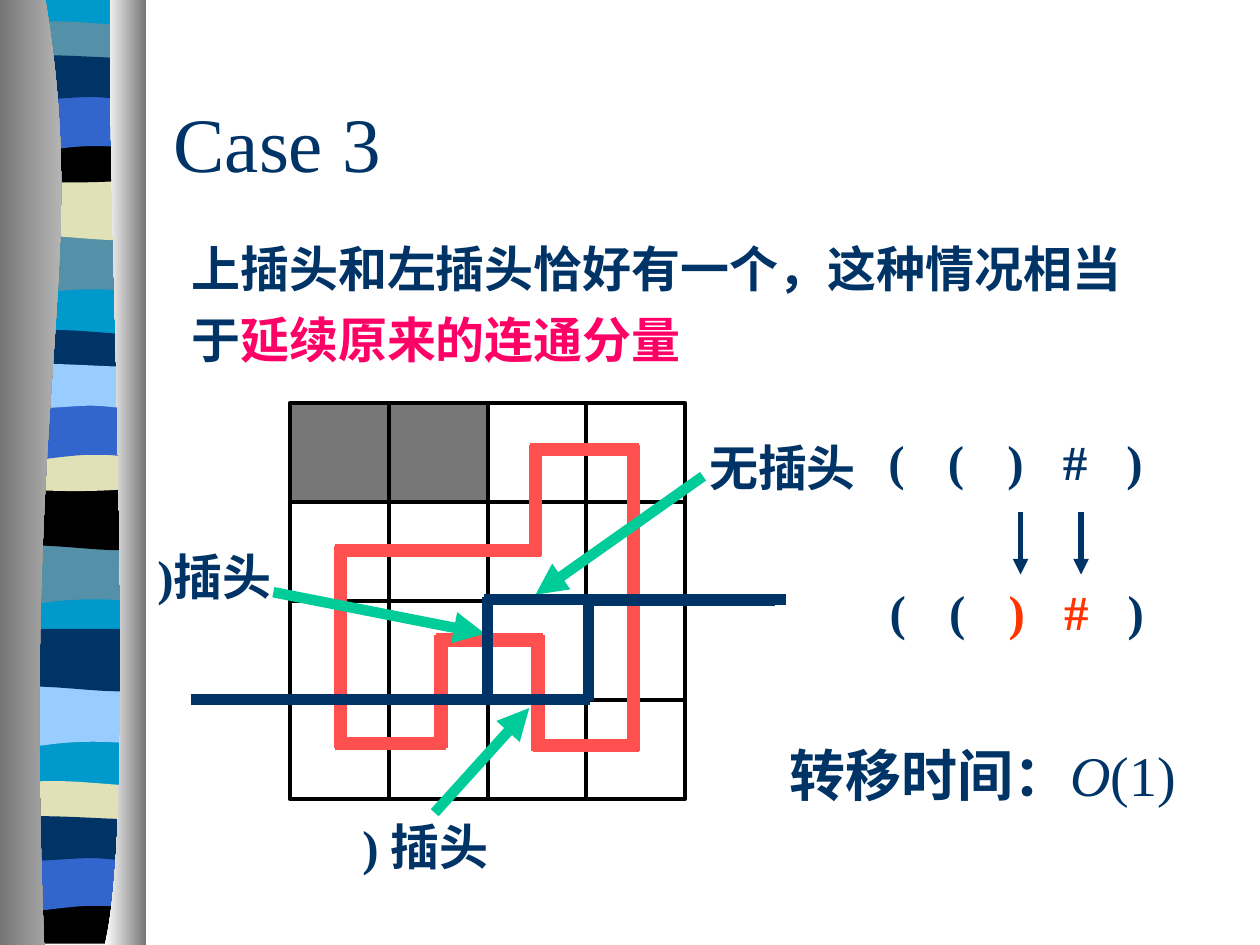
from itertools import product

from lxml.etree import SubElement
from pptx import Presentation
from pptx.dml.color import RGBColor
from pptx.enum.shapes import MSO_CONNECTOR, MSO_SHAPE
from pptx.enum.text import MSO_ANCHOR, PP_ALIGN
from pptx.oxml.ns import qn
from pptx.util import Emu, Pt

PX_PER_INCH = 100
NAVY, PINK, GREEN, GRAY = "003366", "FF5050", "00CC99", "777777"
LATIN, CJK = "Times New Roman", "Noto Sans CJK SC"

BAND_OUTLINES = {
    "plain": [[(109, 0)], [(109, 747)], [(0, 747)], [(0, 0)], [(109, 0)]],
    "swell": [[(109, 0)], [(109, 0), (109, 47), (109, 47)],
              [(34, 39), (18, 55), (0, 47)], [(0, 0)], [(109, 0)]],
    "ripple": [[(109, 0)], [(109, 47)], [(91, 55), (34, 42), (0, 47)],
               [(0, 0)], [(109, 0)]],
    "barrel": [[(109, 4)], [(109, 29)], [(91, 33), (18, 33), (0, 29)], [(0, 4)],
               [(7, 0), (24, 0), (42, 0)], [(60, 0), (95, 4), (109, 4)]],
    "bowl": [[(109, 0)], [(109, 33)], [(91, 38), (18, 38), (0, 33)], [(0, 0)],
             [(66, 5), (86, 0), (109, 0)]],
    "arch": [[(109, 0)], [(109, 0), (109, 47), (109, 47)],
             [(92, 41), (85, 41), (67, 41)], [(49, 41), (17, 47), (0, 47)],
             [(0, 0)], [(109, 0)]],
    "drape": [[(109, 5)], [(109, 36)], [(102, 41), (85, 36), (67, 36)],
              [(49, 36), (12, 41), (0, 36)], [(0, 5)],
              [(16, 0), (74, 5), (92, 5)], [(110, 5), (106, 5), (109, 5)]],
    "foot": [[(109, 0)], [(109, 37)], [(2, 37)], [(0, 0)],
             [(67, 5), (86, 0), (109, 0)]],
}
BANDS = [
    ("plain", 0, "0099CC"),
    ("swell", 185, "5490A8"), ("ripple", 141, "E1E1B7"), ("barrel", 17, "5490A8"),
    ("bowl", 108, "000000"), ("arch", 75, "3366CC"), ("drape", 41, "003366"),
    ("swell", 431, "5490A8"), ("ripple", 387, "000000"), ("barrel", 262, "003366"),
    ("bowl", 353, "E1E1B7"), ("arch", 320, "3366CC"), ("drape", 286, "99CCFF"),
    ("swell", 544, "99CCFF"), ("ripple", 499, "003366"), ("barrel", 620, "E1E1B7"),
    ("foot", 712, "000000"), ("arch", 678, "3366CC"), ("drape", 645, "003366"),
]


def px(length):
    return Emu(round(length * 914400 / PX_PER_INCH))


def colour(code):
    return RGBColor.from_string(code)


def outline(slide, left, top, segments):
    corners = [(px(left + x), px(top + y)) for segment in segments for x, y in segment]
    builder = slide.shapes.build_freeform(*corners[0], scale=1.0)
    builder.add_line_segments(corners[1:], close=True)
    area = builder.convert_to_shape()
    area.shadow.inherit = False
    area.line.fill.background()
    steps = iter(list(area._element.iter(qn("a:lnTo"))))
    for segment in segments[1:]:
        first, *others = [next(steps) for _ in segment]
        if others:
            first.tag = qn("a:cubicBezTo")
            for step in others:
                first.append(step[0])
                step.getparent().remove(step)
    return area


def line(slide, start, end, code, width, arrow=False):
    stroke = slide.shapes.add_connector(
        MSO_CONNECTOR.STRAIGHT, *(px(v) for v in (*start, *end)))
    stroke.line.color.rgb = colour(code)
    stroke.line.width = Pt(width)
    if arrow:
        SubElement(stroke.line._get_or_add_ln(), qn("a:tailEnd"), type="triangle")
    SubElement(stroke._element.spPr, qn("a:effectLst"))


def text(slide, box, runs, size, code=NAVY, bold=True, before=0):
    frame = slide.shapes.add_textbox(*(px(v) for v in box)).text_frame
    frame.word_wrap = True
    paragraph = frame.paragraphs[0]
    paragraph.space_before = Pt(before)
    font = paragraph.font
    font.name, font.size, font.bold = LATIN, Pt(size), bold
    font.color.rgb = colour(code)
    SubElement(font._element, qn("a:ea"), typeface=CJK)
    for words in runs:
        paragraph.add_run().text = words
    return frame


def ribbon(slide, left, top):
    for kind, y, code in BANDS:
        band = outline(slide, left + 5, top + y, BAND_OUTLINES[kind])
        band.fill.solid()
        band.fill.fore_color.rgb = colour(code)

    pillars = [
        ([[(36, 0)], [(72, 217), (17, 296), (35, 750)], [(0, 750)], [(0, 0)],
          [(36, 0)]], "767676", "D4D4D4"),
        ([[(88, 0)], [(83, 125), (111, 647), (83, 750)], [(116, 750)], [(116, 0)],
          [(88, 0)]], "FFFFFF", "767676"),
    ]
    for segments, near, far in pillars:
        pillar = outline(slide, left, top, segments)
        pillar.fill.gradient()
        pillar.fill.gradient_angle = 0
        for stop, code in zip(pillar.fill.gradient_stops, (near, far)):
            stop.color.rgb = colour(code)


def heading(slide, left, top, width):
    title = text(slide, (left, top, width, 125), ["Case 3"], 44, bold=False)
    title.vertical_anchor = MSO_ANCHOR.MIDDLE
    statement = text(slide, (left + 14, top + 125, 792, 122),
                     ["上插头和左插头恰好有一个，这种情况相当于", "延续原来的连通分量"],
                     28, before=17.5)
    paragraph = statement.paragraphs[0]
    paragraph.line_spacing = 1.2
    paragraph.runs[1].font.color.rgb = colour("FF0066")


def board(slide, left, top, side):
    def at(x, y):
        return left + x, top + y

    pitch = side / 4
    for row, column in product(range(4), repeat=2):
        cell = slide.shapes.add_shape(
            MSO_SHAPE.RECTANGLE, px(left + column * pitch), px(top + row * pitch),
            px(pitch), px(pitch))
        cell.shadow.inherit = False
        cell.line.color.rgb = colour("000000")
        cell.line.width = Pt(2.25)
        if row == 0 and column < 2:
            cell.fill.solid()
            cell.fill.fore_color.rgb = colour(GRAY)
        else:
            cell.fill.background()

    circuit = [(40, 117), (195, 117), (195, 37), (273, 37), (273, 272),
               (197, 272), (197, 188), (120, 188), (120, 270), (40, 270)]
    overlap = 4
    for ends in zip(circuit, circuit[1:] + circuit[:1]):
        (x0, y0), (x1, y1) = sorted(ends)
        dx, dy = (overlap, 0) if y0 == y1 else (0, overlap)
        line(slide, at(x0 - dx, y0 - dy), at(x1 + dx, y1 + dy), PINK, 7.5)

    pointers = [((328, 58), (195, 152)), ((-13, 150), (155, 183)),
                ((115, 325), (190, 242))]
    for start, end in pointers:
        line(slide, at(*start), at(*end), GREEN, 6, arrow=True)

    frontier = [((-77, 235), (238, 235)), ((236, 157), (385, 157)),
                ((237, 154), (237, 236)), ((-78, 235), (161, 235)),
                ((154, 156), (394, 156)), ((157, 154), (157, 236))]
    for start, end in frontier:
        line(slide, at(*start), at(*end), NAVY, 6)

    labels = [(" ) 插头", 38, 323, 158), (")插头", -115, 109, 142),
              ("无插头", 323, 22, 142)]
    for words, x, y, width in labels:
        text(slide, (*at(x, y), width, 57), [words], 28, before=17.5)


def bracket_row(slide, left, top, symbols, changed=()):
    for index, symbol in enumerate(symbols):
        code = "FF3300" if index in changed else NAVY
        frame = text(slide, (left + index * 47.25, top, 47, 47), [symbol], 28, code)
        frame.word_wrap = False
        frame.vertical_anchor = MSO_ANCHOR.MIDDLE
        frame.paragraphs[0].alignment = PP_ALIGN.CENTER


def transition(slide, left, top):
    bracket_row(slide, left, top, "(()#)")
    for x in (122, 170):
        line(slide, (left + x, top + 64), (left + x, top + 114), NAVY, 3, arrow=True)
    bracket_row(slide, left + 1, top + 119, "(()#)", changed=(2, 3))


def running_time(slide, left, top):
    cost = text(slide, (left, top, 375, 64), ["转移时间：", "O", "(1)"], 32, before=20)
    label, order, argument = cost.paragraphs[0].runs
    label.font.name = CJK
    order.font.bold = argument.font.bold = False
    order.font.italic = True


def main():
    deck = Presentation()
    deck.slide_width, deck.slide_height = px(1000), px(750)
    slide = deck.slides.add_slide(deck.slide_layouts[6])
    ribbon(slide, 0, 0)
    heading(slide, 128, 50, 850)
    board(slide, 230, 320, 314)
    transition(slide, 688, 342)
    running_time(slide, 617, 583)
    deck.save("out.pptx")


if __name__ == "__main__":
    main()
